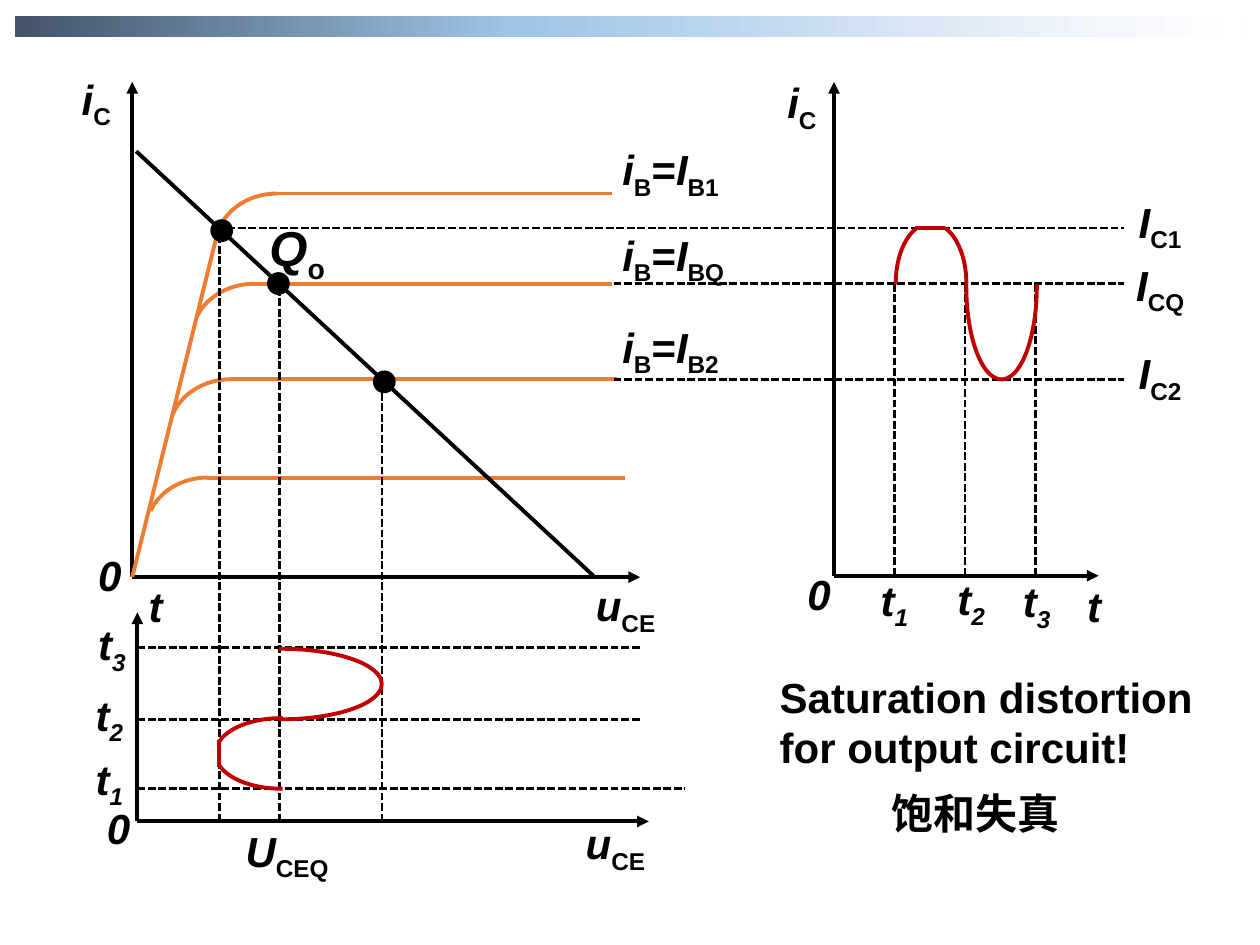
import collections

import pptx
import pptx.dml.color
import pptx.enum.dml
import pptx.enum.shapes
import pptx.enum.text
import pptx.oxml
import pptx.oxml.ns
import pptx.util

Pt = pptx.util.Pt
SHAPES = pptx.enum.shapes.MSO_SHAPE
Box = collections.namedtuple("Box", "left top width height")
Run = collections.namedtuple("Run", "text italic subscript", defaults=(False, False))

COLORS = {"ink": "000000", "curve": "ED7D31", "wave": "C00000", "paper": "FFFFFF"}
BAR_STOPS = [(0, "44546A"), (40, "9DC3E6"), (89, "F4F7FC"), (100, "FFFFFF")]
LATIN, CHINESE = "Arial", "Noto Sans CJK SC"

# Levels of the three operating points, from the corner of the characteristics
CURRENTS = (83.5, 115.2, 169.9)
VOLTAGES = (49.7, 84.2, 142.6)
PERIOD = 40.3  # half a cycle of the waves
HALF_WAVE = (106.3, 1.734)
KNEE = (162, 204.745)


def rgb(name):
    return pptx.dml.color.RGBColor.from_string(COLORS[name])


def add_line(slide, box, start, end, color="ink", weight=2.25, dashed=False, arrow=False):
    connector = slide.shapes.add_connector(
        pptx.enum.shapes.MSO_CONNECTOR.STRAIGHT,
        Pt(box.left + start[0]), Pt(box.top + start[1]),
        Pt(box.left + end[0]), Pt(box.top + end[1]))
    connector.line.color.rgb = rgb(color)
    connector.line.width = Pt(weight)
    if dashed:
        connector.line.dash_style = pptx.enum.dml.MSO_LINE.SQUARE_DOT
    if arrow:
        tail = pptx.oxml.parse_xml(
            f'<a:tailEnd {pptx.oxml.ns.nsdecls("a")} type="triangle"/>')
        connector.line._get_or_add_ln().append(tail)
    connector._element.spPr.append(
        pptx.oxml.parse_xml(f'<a:effectLst {pptx.oxml.ns.nsdecls("a")}/>'))


def add_dashes(slide, box, start, end):
    add_line(slide, box, start, end, weight=1.5, dashed=True)


def add_axes(slide, box, axis=0):
    origin = (axis, box.height)
    add_line(slide, box, origin, (axis, 0), arrow=True)
    add_line(slide, box, origin, (box.width, box.height), arrow=True)


def add_solid(slide, box, kind, left, top, width, height, color):
    shape = slide.shapes.add_shape(
        kind, Pt(box.left + left), Pt(box.top + top), Pt(width), Pt(height))
    shape.shadow.inherit = False
    shape.line.fill.background()
    shape.fill.solid()
    shape.fill.fore_color.rgb = rgb(color)
    return shape


def add_arc(slide, box, left, top, width, height, angles, color, flip=None, rotation=0):
    arc = slide.shapes.add_shape(
        SHAPES.ARC, Pt(box.left + left), Pt(box.top + top), Pt(width), Pt(height))
    arc.shadow.inherit = False
    arc.fill.background()
    arc.line.color.rgb = rgb(color)
    arc.line.width = Pt(2.25)
    arc.adjustments[0], arc.adjustments[1] = angles
    arc.rotation = rotation
    if flip:
        arc._element.spPr.find(pptx.oxml.ns.qn("a:xfrm")).set(flip, "1")


def add_label(slide, box, left, top, width, runs, size=24, font=LATIN, height=42.5):
    text_box = slide.shapes.add_textbox(
        Pt(box.left + left), Pt(box.top + top), Pt(width), Pt(height))
    frame = text_box.text_frame
    frame.word_wrap = True
    frame.auto_size = pptx.enum.text.MSO_AUTO_SIZE.SHAPE_TO_FIT_TEXT
    paragraph = frame.paragraphs[0]
    for part in runs:
        run = paragraph.add_run()
        run.text = part.text
        run.font.size, run.font.name = Pt(size), font
        run.font.bold, run.font.italic = True, part.italic
        run.font.color.rgb = rgb("ink")
        properties = run.font._element
        properties.append(pptx.oxml.parse_xml(
            f'<a:ea {pptx.oxml.ns.nsdecls("a")} typeface="{font}"/>'))
        if part.subscript:
            properties.set("baseline", "-25000")


def symbol(name, subscript="", italic=False):
    runs = [Run(name, True)]
    if subscript:
        runs.append(Run(subscript, italic, True))
    return runs


def draw_bar(slide, box):
    bar = add_solid(slide, box, SHAPES.RECTANGLE, 0, 0, box.width, box.height, "paper")
    bar.fill.gradient()
    bar.fill.gradient_angle = 0
    stops = bar._element.spPr.find(".//" + pptx.oxml.ns.qn("a:gsLst"))
    for stop in list(stops):
        stops.remove(stop)
    for position, color in BAR_STOPS:
        stops.append(pptx.oxml.parse_xml(
            f'<a:gs {pptx.oxml.ns.nsdecls("a")} pos="{position * 1000}">'
            f'<a:srgbClr val="{color}"/></a:gs>'))


def draw_characteristics(slide, box):
    add_axes(slide, box)
    # Saturation edge and the family of output curves
    add_line(slide, box, (0, box.height), (49.7, 82.1), "curve")
    curves = [(63.8, 274.3), (115.4, 274.3), (169.9, 277.2), (226.1, 281.5)]
    for index, (level, end) in enumerate(curves):
        left = 47.5 - 13.2 * index
        add_arc(slide, box, left, level, 70.6, 60.5, KNEE, "curve", "flipH")
        add_line(slide, box, (left + 34.8, level), (end, level), "curve")
    # Load line
    add_line(slide, box, (2.2, 39.6), (263.5, 282.2))
    # Labels
    add_label(slide, box, -36, -8.6, 39.6, symbol("i", "C"))
    add_label(slide, box, 257.8, 280.8, 59.8, symbol("u", "CE"))
    add_label(slide, box, -26.6, 263.5, 39.6, symbol("0"), height=36)
    for top, name in [(31.7, "B1"), (80.6, "BQ"), (133.2, "B2")]:
        add_label(slide, box, 272.9, top, 90,
                  symbol("i", "B") + [Run("=")] + symbol("I", name))
    add_label(slide, box, 71.3, 74.2, 48, symbol("Q", "o"), size=28, height=48)


def draw_projections(slide, box, right, bottom):
    for start, level in zip((48.2, 275, 275), CURRENTS):
        add_dashes(slide, box, (start, level), (right, level))
    for voltage, level in zip(VOLTAGES, CURRENTS):
        add_dashes(slide, box, (voltage, bottom), (voltage, level))
    # Operating points
    for x, y in [(51.1, 85), (83.5, 115.2), (144, 171.4)]:
        add_solid(slide, box, SHAPES.OVAL, x - 6.5, y - 6.5, 13, 13, "ink")


def draw_current_wave(slide, box):
    add_axes(slide, box)
    first = 34.6
    label_places = [(19.5, 277.9), (63.4, 277.2), (100.8, 278.6)]
    for index, (left, top) in enumerate(label_places):
        time = first + PERIOD * index
        add_dashes(slide, box, (time, box.height), (time, CURRENTS[1]))
        add_label(slide, box, left, top, 39.6, symbol("t", str(index + 1), True))
    # Half waves, the upper one clipped at saturation
    add_arc(slide, box, 35.3, 80.6, PERIOD, 68.4, HALF_WAVE, "wave")
    add_arc(slide, box, 75.6, 63.4, PERIOD, 106.6, HALF_WAVE, "wave", "flipV")
    add_solid(slide, box, SHAPES.RECTANGLE, 31.7, 49, 56.9, 33.8, "paper")
    add_line(slide, box, (46.1, CURRENTS[0]), (63.4, CURRENTS[0]), "wave")
    # Labels
    add_label(slide, box, -33.8, -6.5, 39.6, symbol("i", "C"))
    add_label(slide, box, -22.3, 274.3, 39.6, symbol("0"), height=36)
    add_label(slide, box, 137.6, 281.5, 33.8, symbol("t"), height=36)
    for left, top, name in [(167, 61.9, "C1"), (165.6, 97.9, "CQ"), (167, 148.3, "C2")]:
        add_label(slide, box, left, top, 50, symbol("I", name))


def draw_voltage_wave(slide, box):
    axis = 2.9
    add_axes(slide, box, axis)
    rows = [(100.8, 316.1, -28.1, 77), (61.2, 290.2, -28.1, 40.3), (20.2, 290.2, -26.6, 0)]
    for index, (time, end, left, top) in enumerate(rows):
        add_dashes(slide, box, (axis, time), (end, time))
        add_label(slide, box, left, top, 39.6, symbol("t", str(index + 1), True))
    # Half waves, the left one clipped at saturation
    add_arc(slide, box, 64.8, 43.2, PERIOD, 74.9, HALF_WAVE, "wave", "flipH", 270)
    add_arc(slide, box, 64.8, -16.6, PERIOD, 115.2, HALF_WAVE, "wave", rotation=90)
    add_solid(slide, box, SHAPES.RECTANGLE, 36.7, 65.5, 12.2, 29.5, "paper")
    add_line(slide, box, (VOLTAGES[0], 72.7), (VOLTAGES[0], 88.6), "wave")
    # Labels
    add_label(slide, box, 2.2, -21.6, 39.6, symbol("t"), height=36)
    add_label(slide, box, 252, 113.8, 59.8, symbol("u", "CE"))
    add_label(slide, box, -21.6, 105.1, 39.6, symbol("0"), height=36)
    add_label(slide, box, 57.6, 118.1, 74, symbol("U", "CEQ"))


def draw_caption(slide, box):
    add_label(slide, box, 0, 0, box.width,
              [Run("Saturation distortion for output circuit!")], height=63.4)
    add_label(slide, box, 64.1, 66.2, 145.4, [Run("饱和失真")], font=CHINESE, height=36)


def main():
    presentation = pptx.Presentation()
    presentation.slide_width, presentation.slide_height = Pt(720), Pt(540)
    slide = presentation.slides.add_slide(presentation.slide_layouts[6])
    characteristics = Box(75.6, 46.8, 290.2, 283)
    draw_bar(slide, Box(8.6, 9.4, 702.7, 11.5))
    draw_characteristics(slide, characteristics)
    draw_projections(slide, characteristics, right=566.6, bottom=422.6)
    draw_current_wave(slide, Box(476.6, 46.8, 151.2, 282.2))
    draw_voltage_wave(slide, Box(75.6, 349.9, 295.2, 119.5))
    draw_caption(slide, Box(438.5, 380.2, 257, 102.2))
    presentation.save("out.pptx")


if __name__ == "__main__":
    main()
